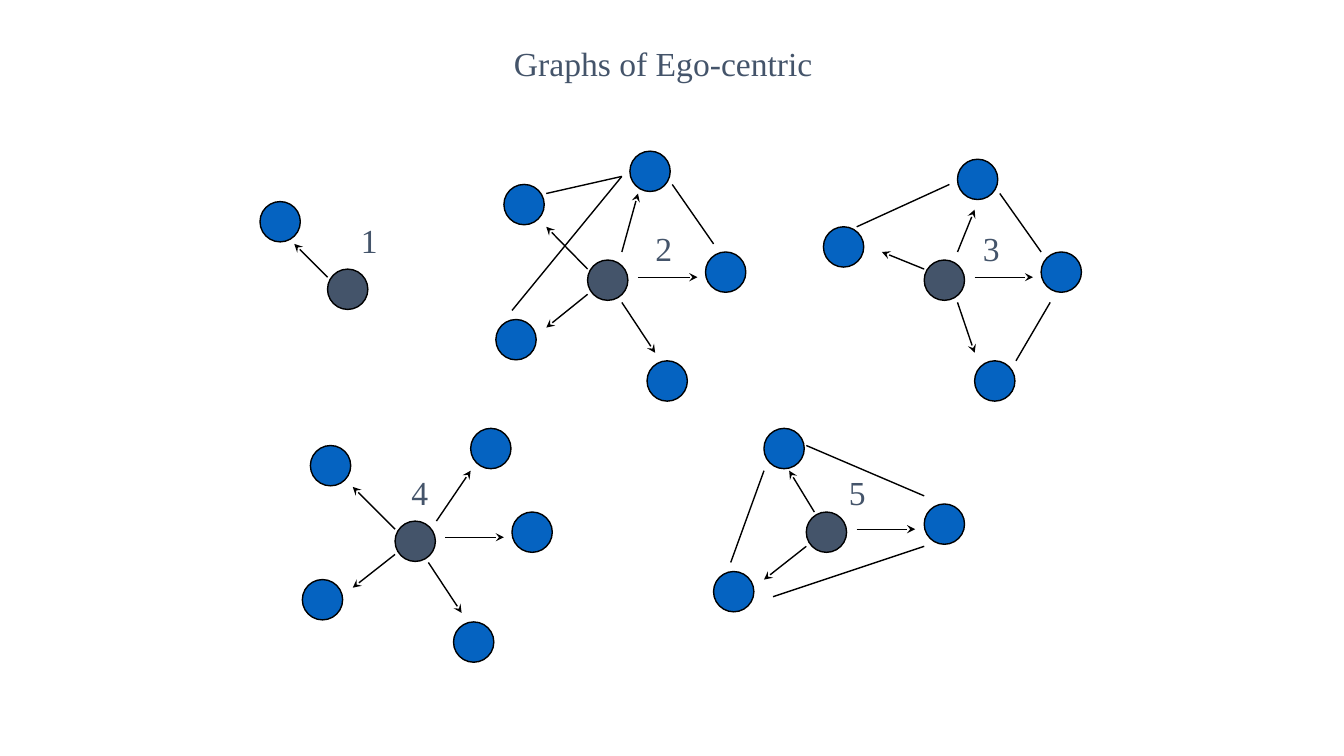
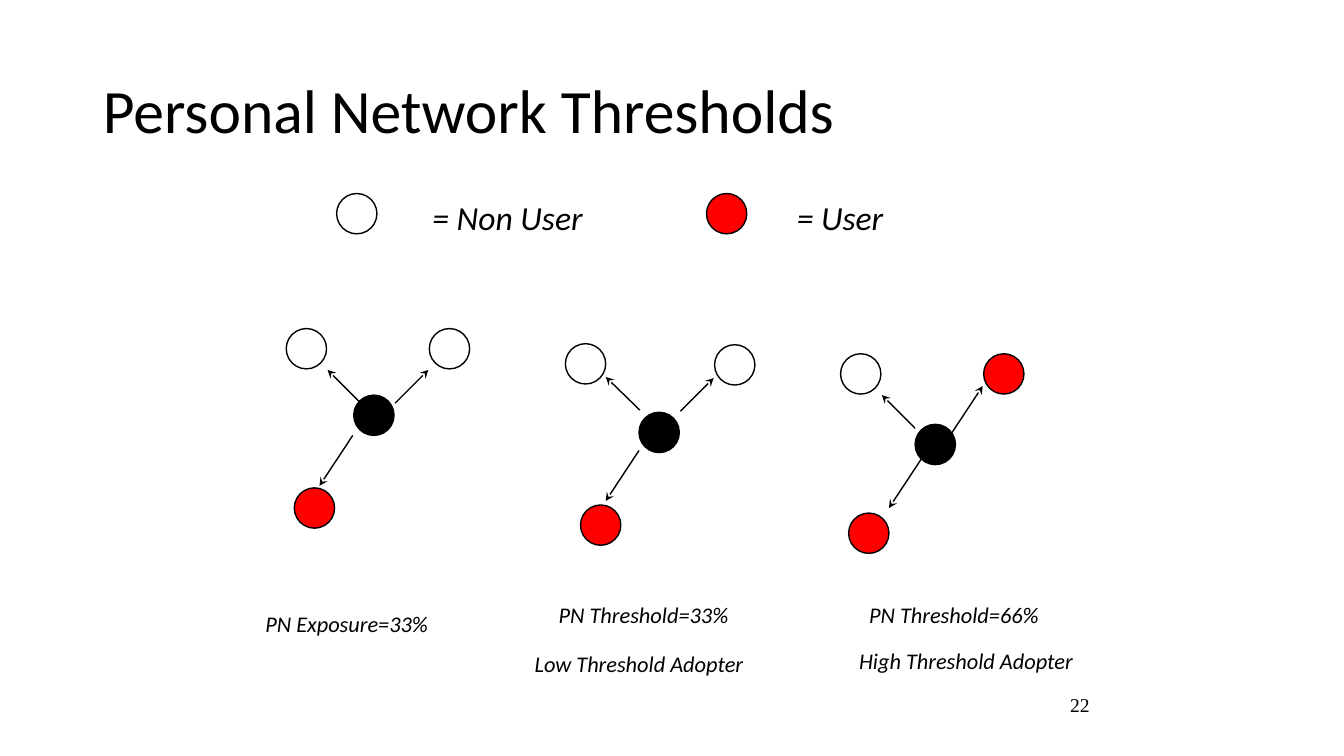
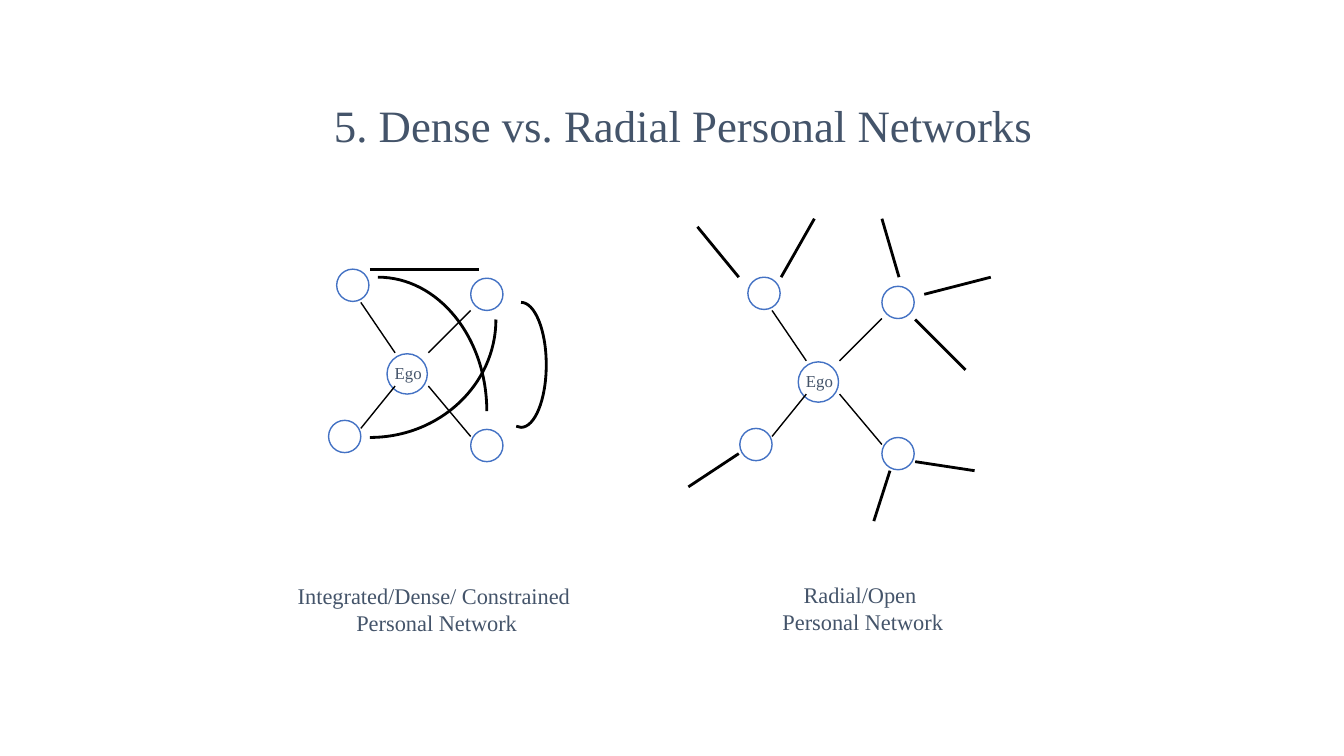
"""Build three slides of personal network diagrams."""

from dataclasses import dataclass
from itertools import pairwise
from math import cos, radians, sin, tan

from lxml import etree
from pptx import Presentation
from pptx.dml.color import RGBColor
from pptx.enum.shapes import MSO_CONNECTOR, MSO_SHAPE
from pptx.enum.text import MSO_ANCHOR, MSO_AUTO_SIZE, PP_ALIGN
from pptx.oxml.ns import qn
from pptx.util import Cm, Pt

STRAIGHT, ELLIPSE = MSO_CONNECTOR.STRAIGHT, MSO_SHAPE.OVAL
LEFT, CENTER, RIGHT = PP_ALIGN.LEFT, PP_ALIGN.CENTER, PP_ALIGN.RIGHT
TOP, MIDDLE = MSO_ANCHOR.TOP, MSO_ANCHOR.MIDDLE
FIXED, GROW = MSO_AUTO_SIZE.NONE, MSO_AUTO_SIZE.SHAPE_TO_FIT_TEXT

CM_PER_UNIT = 2.54
TITLE_ONLY = 5
BLACK, WHITE, RED = "000000", "FFFFFF", "FF0000"
SLATE, BLUE, OUTLINE_BLUE = "44546A", "0563C1", "4472C4"
EGO_SIZE, SMALL_NODE = 0.4, 0.32
THIN, THICK = 1, 2

SERIF = {"name": "Times New Roman", "size": Pt(24)}
SERIF_LARGE = SERIF | {"size": Pt(32)}
SERIF_CAPTION = SERIF | {"size": Pt(16)}
SERIF_EGO = SERIF | {"size": Pt(12)}
SERIF_NUMBER = SERIF | {"size": Pt(14)}
SANS_TITLE = {"name": "Calibri", "size": Pt(44)}
SANS_LEGEND = {"name": "Calibri", "size": Pt(24), "italic": True}
SANS_CAPTION = SANS_LEGEND | {"size": Pt(16)}

Point = tuple[float, float]
Segment = tuple[Point, Point]


@dataclass(frozen=True)
class Label:
    """Text with its box, font and layout."""

    text: str
    box: tuple[float, float, float, float]
    font: dict
    color: str = SLATE
    align: int = CENTER
    anchor: int = TOP
    wrap: bool = False
    spacing: float = 1.0


@dataclass(frozen=True)
class Spoke:
    """An outer node and the line that runs to it from the ego."""

    node: Point
    start: Point
    end: Point
    fill: str | None = BLUE


@dataclass(frozen=True)
class Network:
    """An ego, its spokes and the ties between outer nodes."""

    ego: Point
    spokes: tuple[Spoke, ...]
    ties: tuple[Segment, ...] = ()


@dataclass(frozen=True)
class Style:
    """Look of the nodes and spokes of a network."""

    ego_fill: str | None
    outline: str = BLACK
    node_size: float = EGO_SIZE
    arrows: bool = True


@dataclass(frozen=True)
class Arc:
    """Part of an ellipse that runs through angles in degrees."""

    center: Point
    radii: Point
    angles: tuple[int, ...]

    def point(self, angle: float, reach: float = 0) -> Point:
        """Return the point at an angle, moved along the tangent by the reach."""
        across = cos(angle) - reach * sin(angle)
        down = sin(angle) + reach * cos(angle)
        return self.center[0] + self.radii[0] * across, self.center[1] + self.radii[1] * down


EGO_GRAPHS = (
    Network((3.25, 2.67), (Spoke((2.58, 2), (3.25, 2.75), (2.92, 2.42)),)),
    Network(
        (5.83, 2.58),
        (
            Spoke((6.25, 1.5), (6.17, 2.5), (6.33, 1.92)),
            Spoke((5, 1.83), (5.83, 2.67), (5.42, 2.25)),
            Spoke((7, 2.5), (6.33, 2.75), (6.92, 2.75)),
            Spoke((6.42, 3.58), (6.17, 3), (6.5, 3.5)),
            Spoke((4.92, 3.17), (5.83, 2.92), (5.42, 3.25)),
        ),
        (
            ((6.67, 1.83), (7.08, 2.42)),
            ((5.42, 1.92), (6.17, 1.75)),
            ((5.08, 3.08), (6.17, 1.75)),
        ),
    ),
    Network(
        (9.17, 2.58),
        (
            Spoke((9.5, 1.58), (9.5, 2.5), (9.67, 2.08)),
            Spoke((8.17, 2.25), (9.17, 2.67), (8.75, 2.5)),
            Spoke((10.33, 2.5), (9.67, 2.75), (10.25, 2.75)),
            Spoke((9.67, 3.58), (9.5, 3), (9.67, 3.5)),
        ),
        (
            ((9.92, 1.92), (10.33, 2.5)),
            ((8.5, 2.25), (9.42, 1.83)),
            ((10.08, 3.58), (10.42, 3)),
        ),
    ),
    Network(
        (3.92, 5.17),
        (
            Spoke((4.67, 4.25), (4.33, 5.17), (4.67, 4.67)),
            Spoke((3.08, 4.42), (3.92, 5.25), (3.5, 4.83)),
            Spoke((5.08, 5.08), (4.42, 5.33), (5, 5.33)),
            Spoke((4.5, 6.17), (4.25, 5.58), (4.58, 6.08)),
            Spoke((3, 5.75), (3.92, 5.5), (3.5, 5.83)),
        ),
    ),
    Network(
        (8, 5.08),
        (
            Spoke((7.58, 4.25), (8.08, 5.08), (7.83, 4.67)),
            Spoke((9.17, 5), (8.5, 5.25), (9.08, 5.25)),
            Spoke((7.08, 5.67), (8, 5.42), (7.58, 5.75)),
        ),
        (
            ((8, 4.42), (9.17, 4.92)),
            ((7.25, 5.58), (7.58, 4.67)),
            ((7.67, 5.92), (9.17, 5.42)),
        ),
    ),
)
GRAPH_NUMBERS = ((3.48, 2.13), (6.4, 2.21), (9.65, 2.21), (3.98, 4.63), (8.32, 4.63))

THRESHOLD_GRAPHS = (
    Network(
        (3.51, 3.92),
        (
            Spoke((4.26, 3.26), (3.92, 4), (4.25, 3.67), WHITE),
            Spoke((2.84, 3.26), (3.58, 4), (3.25, 3.67), WHITE),
            Spoke((2.92, 4.84), (3.5, 4.32), (3.17, 4.82), RED),
        ),
    ),
    Network(
        (6.34, 4.09),
        (
            Spoke((7.09, 3.42), (6.75, 4.08), (7.08, 3.75), WHITE),
            Spoke((5.61, 3.41), (6.35, 4.07), (6.01, 3.74), WHITE),
            Spoke((5.76, 5.01), (6.34, 4.47), (6.01, 4.97), RED),
        ),
    ),
    Network(
        (9.08, 4.21),
        (
            Spoke((9.76, 3.51), (9.42, 4.33), (9.75, 3.83), RED),
            Spoke((8.34, 3.51), (9.08, 4.25), (8.75, 3.92), WHITE),
            Spoke((8.42, 5.09), (9.15, 4.54), (8.82, 5.04), RED),
        ),
    ),
)
LEGEND_NODES = (((3.34, 1.92), WHITE), ((7.01, 1.92), RED))
LEGEND_LABELS = (
    ("= Non User", (4.18, 1.9, 1.71, 0.51)),
    ("= User", (7.8, 1.9, 1.07, 0.51)),
)
THRESHOLD_CAPTIONS = (
    ("PN Exposure=33%", (2.52, 6, 1.84, 0.37)),
    ("PN Threshold=33%", (5.43, 5.91, 1.91, 0.37)),
    ("PN Threshold=66%", (8.51, 5.91, 1.91, 0.37)),
    ("Low Threshold Adopter", (5.19, 6.4, 2.3, 0.37)),
    ("High Threshold Adopter", (8.41, 6.37, 2.35, 0.37)),
)

FOUR_SPOKES = Network(
    (3.84, 3.51),
    (
        Spoke((4.67, 2.76), (4.25, 3.5), (4.67, 3.08), None),
        Spoke((4.67, 4.26), (4.25, 3.83), (4.67, 4.33), None),
        Spoke((3.26, 4.17), (3.92, 3.83), (3.58, 4.25), None),
        Spoke((3.34, 2.67), (3.92, 3.5), (3.58, 3), None),
    ),
)
RADIAL_SHIFT = (4.08, 0.08)
DENSE_ARCS = (
    Arc((5.17, 3.62), (0.25, 0.62), (-90, 0, 90, 101)),
    Arc((3.75, 4.08), (1.08, 1.33), (-90, 0)),
    Arc((3.67, 3.17), (1.25, 1.17), (0, 90)),
)
THICK_TIES = (
    ((3.67, 2.67), (4.75, 2.67)),
    ((7.75, 2.75), (8.08, 2.17)),
    ((7.33, 2.75), (6.92, 2.25)),
    ((8.92, 2.75), (8.75, 2.17)),
    ((9.17, 2.92), (9.83, 2.75)),
    ((9.08, 3.17), (9.58, 3.67)),
    ((9.08, 4.58), (9.67, 4.67)),
    ((8.67, 5.17), (8.83, 4.67)),
    ((6.83, 4.83), (7.33, 4.5)),
)
NETWORK_CAPTIONS = (
    ("Integrated/Dense/ Constrained\n Personal Network", (2.83, 5.73, 2.95, 0.64)),
    ("Radial/Open \nPersonal Network", (7.65, 5.72, 1.82, 0.64)),
)


def lengths(*values: float) -> list[Cm]:
    """Turn layout units into lengths."""
    return [Cm(value * CM_PER_UNIT) for value in values]


def rgb(color: str) -> RGBColor:
    """Turn a hex string into a colour."""
    return RGBColor.from_string(color)


def set_attributes(target, values: dict) -> None:
    """Set every named value on the target."""
    for name, value in values.items():
        setattr(target, name, value)


def write_label(shape, label: Label) -> None:
    """Place a shape and write the label in it."""
    left, top, width, height = lengths(*label.box)
    set_attributes(shape, {"left": left, "top": top, "width": width, "height": height})
    frame = shape.text_frame
    frame.text = label.text
    set_attributes(frame, {
        "word_wrap": label.wrap,
        "auto_size": FIXED if label.wrap else GROW,
        "vertical_anchor": label.anchor,
    })
    for paragraph in frame.paragraphs:
        set_attributes(paragraph, {"alignment": label.align, "line_spacing": label.spacing})
        for run in paragraph.runs:
            set_attributes(run.font, label.font)
            run.font.color.rgb = rgb(label.color)


def add_label(slide, label: Label) -> None:
    """Add a text box with the label."""
    write_label(slide.shapes.add_textbox(*lengths(*label.box)), label)


def add_titled_slide(presentation, title: Label):
    """Add a slide and fill its title placeholder."""
    slide = presentation.slides.add_slide(presentation.slide_layouts[TITLE_ONLY])
    write_label(slide.shapes.title, title)
    return slide


def paint(shape, fill: str | None, outline: str, weight: int) -> None:
    """Give a shape its fill and outline without a shadow."""
    shape.shadow.inherit = False
    if fill:
        shape.fill.solid()
        shape.fill.fore_color.rgb = rgb(fill)
    else:
        shape.fill.background()
    shape.line.color.rgb = rgb(outline)
    shape.line.width = Pt(weight)


def add_node(slide, corner: Point, size: float, fill: str | None, outline: str = BLACK) -> None:
    """Add a round node."""
    node = slide.shapes.add_shape(ELLIPSE, *lengths(*corner, size, size))
    paint(node, fill, outline, THIN)


def add_line(slide, start: Point, end: Point, weight: int = THIN, arrow: bool = False) -> None:
    """Add a straight line, with an arrowhead at its end if asked."""
    connector = slide.shapes.add_connector(STRAIGHT, *lengths(*start, *end))
    connector.line.color.rgb = rgb(BLACK)
    connector.line.width = Pt(weight)
    properties = connector.element.spPr
    if arrow:
        etree.SubElement(properties.find(qn("a:ln")), qn("a:tailEnd"), type="stealth")
    etree.SubElement(properties, qn("a:effectLst"))


def add_arc(slide, arc: Arc) -> None:
    """Add an open curve of one Bezier segment for each pair of angles."""
    angles = [radians(angle) for angle in arc.angles]
    points = [arc.point(angles[0])]
    for first, last in pairwise(angles):
        reach = 4 / 3 * tan((last - first) / 4)
        points += [arc.point(first, reach), arc.point(last, -reach), arc.point(last)]
    places = [tuple(lengths(*point)) for point in points]
    builder = slide.shapes.build_freeform(*places[0])
    builder.add_line_segments(places[1:], close=False)
    curve = builder.convert_to_shape()
    paint(curve, None, BLACK, THICK)
    outline = next(curve.element.iter(qn("a:path")))
    for index, line in enumerate(outline.findall(qn("a:lnTo"))):
        if index % 3 == 0:
            bezier = etree.SubElement(outline, qn("a:cubicBezTo"))
        bezier.append(line[0])
        outline.remove(line)


def moved(point: Point, shift: Point) -> Point:
    """Move a point by a shift."""
    return point[0] + shift[0], point[1] + shift[1]


def add_network(slide, network: Network, style: Style, shift: Point = (0, 0)) -> None:
    """Draw a network, moved by the shift."""
    add_node(slide, moved(network.ego, shift), EGO_SIZE, style.ego_fill, style.outline)
    for spoke in network.spokes:
        add_node(slide, moved(spoke.node, shift), style.node_size, spoke.fill, style.outline)
        add_line(slide, moved(spoke.start, shift), moved(spoke.end, shift), arrow=style.arrows)
    for start, end in network.ties:
        add_line(slide, moved(start, shift), moved(end, shift))


def build_ego_graphs(presentation) -> None:
    """Build the slide of five numbered graphs."""
    title = Label("Graphs of Ego-centric", (2.33, 0, 8.5, 1.25), SERIF, anchor=MIDDLE, wrap=True)
    slide = add_titled_slide(presentation, title)
    for number, (network, corner) in enumerate(zip(EGO_GRAPHS, GRAPH_NUMBERS), 1):
        add_network(slide, network, Style(SLATE))
        add_label(slide, Label(str(number), (*corner, 0.37, 0.5), SERIF))


def build_thresholds(presentation) -> None:
    """Build the slide of users and non users."""
    title = Label("Personal Network Thresholds", (0.92, 0.4, 11.5, 1.45), SANS_TITLE,
                  BLACK, LEFT, MIDDLE, True, 0.9)
    slide = add_titled_slide(presentation, title)
    for network in THRESHOLD_GRAPHS:
        add_network(slide, network, Style(BLACK))
    for corner, fill in LEGEND_NODES:
        add_node(slide, corner, EGO_SIZE, fill)
    for labels, font in ((LEGEND_LABELS, SANS_LEGEND), (THRESHOLD_CAPTIONS, SANS_CAPTION)):
        for text, box in labels:
            add_label(slide, Label(text, box, font, BLACK))
    add_label(slide, Label("22", (8.83, 6.83, 2.08, 0.5), SERIF_NUMBER, BLACK, RIGHT, wrap=True))


def build_dense_and_radial(presentation) -> None:
    """Build the slide that compares dense and radial networks."""
    title = Label("5. Dense vs. Radial Personal Networks", (3.18, 0.92, 7.2, 0.64), SERIF_LARGE)
    slide = add_titled_slide(presentation, title)
    style = Style(None, OUTLINE_BLUE, SMALL_NODE, arrows=False)
    for shift in ((0, 0), RADIAL_SHIFT):
        add_network(slide, FOUR_SPOKES, style, shift)
        add_label(slide, Label("Ego", (*moved((3.81, 3.55), shift), 0.48, 0.3), SERIF_EGO))
    for arc in DENSE_ARCS:
        add_arc(slide, arc)
    for start, end in THICK_TIES:
        add_line(slide, start, end, THICK)
    for text, box in NETWORK_CAPTIONS:
        add_label(slide, Label(text, box, SERIF_CAPTION))


def main() -> None:
    """Build and save the presentation."""
    presentation = Presentation()
    presentation.slide_width, presentation.slide_height = Cm(33.87), Cm(19.05)
    build_ego_graphs(presentation)
    build_thresholds(presentation)
    build_dense_and_radial(presentation)
    presentation.save("out.pptx")


main()
